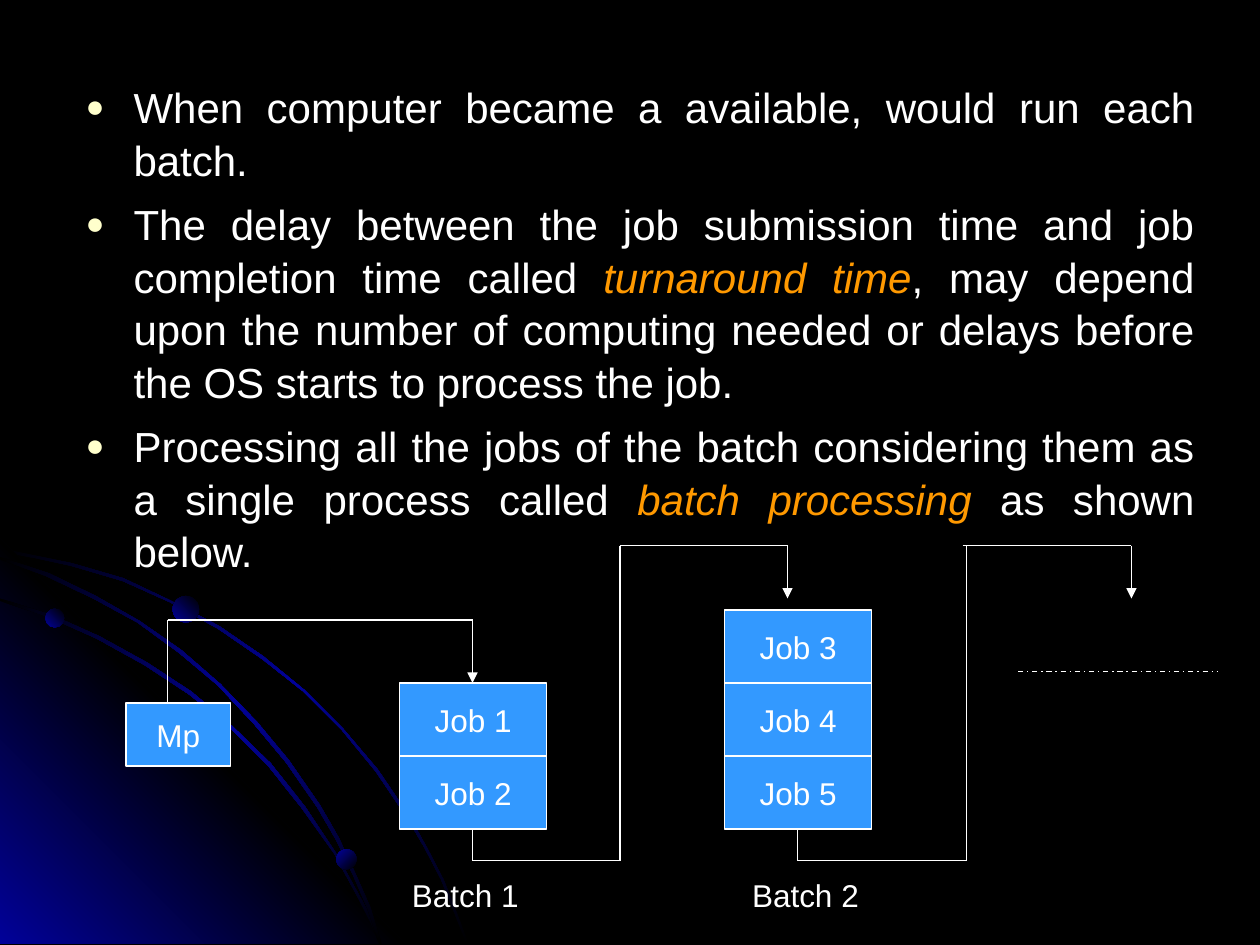
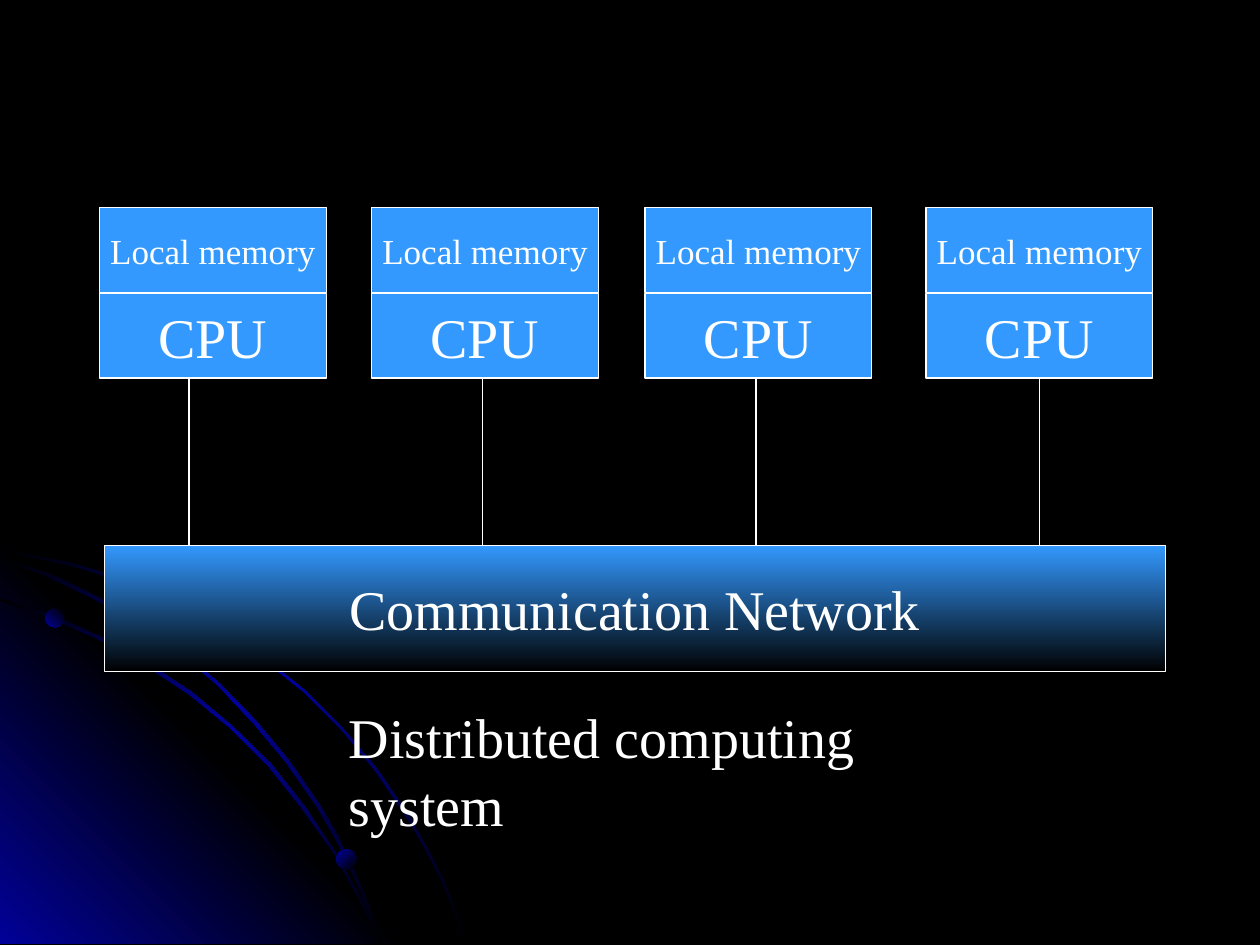
from itertools import pairwise

from lxml import etree
from pptx import Presentation
from pptx.dml.color import RGBColor
from pptx.enum.dml import MSO_LINE
from pptx.enum.shapes import MSO_CONNECTOR, MSO_SHAPE
from pptx.enum.text import MSO_ANCHOR, MSO_AUTO_SIZE, PP_ALIGN
from pptx.oxml.ns import qn
from pptx.util import Pt

PX = 9144  # EMU in one px, 100 px to the inch
WIDTH, HEIGHT = 1000, 750
RECT, OVAL = MSO_SHAPE.RECTANGLE, MSO_SHAPE.OVAL
STRAIGHT = MSO_CONNECTOR.STRAIGHT
DASH_DOT = MSO_LINE.DASH_DOT
LEFT, CENTER, JUSTIFY = PP_ALIGN.LEFT, PP_ALIGN.CENTER, PP_ALIGN.JUSTIFY
MIDDLE = MSO_ANCHOR.MIDDLE
NO_FIT, GROW = MSO_AUTO_SIZE.NONE, MSO_AUTO_SIZE.SHAPE_TO_FIT_TEXT
SANS, SERIF = "Arial", "Times New Roman"
COLORS = {
    "background": "000000",
    "glow": "010199",
    "box": "3399FF",
    "text": "FFFFFF",
    "term": "FF9900",
    "bullet": "FFFFCC",
}

# Background curves: closed outlines in px
OUTER_ARC = [
    (57, 447), (28, 441), (0, 435), (0, 438), (28, 443), (56, 449), (97, 461),
    (135, 478), (173, 499), (208, 523), (241, 549), (271, 579), (298, 612),
    (323, 649), (337, 673), (350, 698), (360, 723), (370, 749), (372, 749),
    (362, 723), (352, 698), (339, 673), (325, 648), (300, 611), (272, 578),
    (242, 548), (209, 521), (174, 497), (136, 477), (98, 459),
]
CORNER = [(322, 749), (0, 749), (0, 427)]
INNER_ARC = [
    (285, 714), (294, 732), (301, 749), (303, 749), (296, 730), (286, 712),
    (266, 676), (242, 640), (215, 606), (184, 576), (152, 549), (117, 526),
    (79, 505), (41, 488), (0, 475), (0, 477), (39, 490), (77, 507), (115, 528),
    (150, 551), (183, 578), (213, 608), (240, 642), (265, 677),
]
MIDDLE_ARC = [
    (0, 442), (0, 444), (36, 457), (74, 475), (109, 494), (142, 518), (173, 544),
    (202, 575), (227, 605), (252, 641), (267, 667), (280, 694), (292, 722),
    (301, 749), (303, 749), (294, 720), (282, 693), (269, 665), (254, 639),
    (229, 603), (204, 573), (175, 543), (144, 516), (111, 493), (76, 473),
    (39, 455),
]

BULLETS = [
    [("When computer became a available, would run each batch.", False)],
    [
        ("The delay between the job submission time and job completion time called ", False),
        ("turnaround time", True),
        (", may depend upon the number of computing needed or delays before "
         "the OS starts to process the job.", False),
    ],
    [
        ("Processing all the jobs of the batch considering them as a single "
         "process called ", False),
        ("batch processing", True),
        (" as shown below.", False),
    ],
]


def px(*lengths):
    return [length * PX for length in lengths]


def rgb(name):
    return RGBColor.from_string(COLORS[name])


def add_text(paragraph, text, *, size, font=SANS, color="text", italic=False, align=LEFT):
    paragraph.alignment = align
    run = paragraph.add_run()
    run.text = text
    run.font.size, run.font.name, run.font.italic = Pt(size), font, italic
    run.font.color.rgb = rgb(color)


def fill_gradient(shape, names, angle):
    """Spread the named colours evenly; the angle runs counter-clockwise."""
    shape.fill.gradient()
    shape.fill.gradient_angle = angle
    stops = shape.element.spPr.find(".//" + qn("a:gsLst"))
    del stops[:]
    for i, name in enumerate(names):
        stop = etree.SubElement(stops, qn("a:gs"), pos=str(100000 * i // (len(names) - 1)))
        etree.SubElement(stop, qn("a:srgbClr"), val=COLORS[name])


def style_decoration(shape, names, angle):
    shape.shadow.inherit = False
    shape.line.fill.background()
    fill_gradient(shape, names, angle)


def add_backdrop(slide):
    """Glowing corner, three arcs and their beads."""
    fade = ("background", "glow", "background")
    corner_fade = ("glow", "background", "glow")
    for outline, names, angle in (
        (OUTER_ARC, fade, 135),
        (CORNER, corner_fade, 225),
        (INNER_ARC, fade, 135),
        (MIDDLE_ARC, fade, 135),
    ):
        builder = slide.shapes.build_freeform(*outline[0], scale=PX)
        builder.add_line_segments(outline[1:], close=True)
        style_decoration(builder.convert_to_shape(), names, angle)
    for left, top, size, angle in ((36, 483, 15, 225), (267, 674, 16, 135), (137, 473, 21, 225)):
        bead = slide.shapes.add_shape(OVAL, *px(left, top, size, size))
        style_decoration(bead, ("background", "glow"), angle)


def add_box(slide, text, left, top, width, height, **text_format):
    box = slide.shapes.add_shape(RECT, *px(left, top, width, height))
    box.shadow.inherit = False
    box.fill.solid()
    box.fill.fore_color.rgb = rgb("box")
    box.line.color.rgb = rgb("text")
    box.line.width = Pt(0.75)
    frame = box.text_frame
    frame.word_wrap = False
    frame.vertical_anchor = MIDDLE
    add_text(frame.paragraphs[0], text, align=CENTER, **text_format)
    return box


def add_label(slide, text, left, top, width, height, **text_format):
    frame = slide.shapes.add_textbox(*px(left, top, width, height)).text_frame
    frame.word_wrap = False
    frame.auto_size = GROW
    add_text(frame.paragraphs[0], text, **text_format)


def add_route(slide, *points, arrow=False, dash=None):
    """Join the points by straight lines, with an arrowhead at the last one."""
    for start, end in pairwise(points):
        segment = slide.shapes.add_connector(STRAIGHT, *px(*start, *end))
        segment.line.color.rgb = rgb("text")
        segment.line.width = Pt(0.75)
        if dash:
            segment.line.dash_style = dash
        if arrow and end == points[-1]:
            etree.SubElement(segment.line._get_or_add_ln(), qn("a:tailEnd"), type="triangle")
        etree.SubElement(segment.element.spPr, qn("a:effectLst"))


def set_bullet(paragraph):
    properties = paragraph._p.get_or_add_pPr()
    properties.set("marL", str(38 * PX))
    properties.set("indent", str(-38 * PX))
    color = etree.SubElement(properties, qn("a:buClr"))
    etree.SubElement(color, qn("a:srgbClr"), val=COLORS["bullet"])
    etree.SubElement(properties, qn("a:buSzPct"), val="75000")
    etree.SubElement(properties, qn("a:buChar"), char="●")


def add_bullets(slide, bullets):
    body = slide.placeholders[1]
    body.left, body.top, body.width, body.height = px(58, 58, 900, 625)
    slide.shapes.element.append(body.element)  # in front of the backdrop
    frame = body.text_frame
    frame.word_wrap = True
    frame.auto_size = NO_FIT
    for i, runs in enumerate(bullets):
        paragraph = frame.add_paragraph() if i else frame.paragraphs[0]
        set_bullet(paragraph)
        paragraph.space_before = Pt(6 if i else 0)
        paragraph.line_spacing = 1.05
        for text, is_term in runs:
            add_text(paragraph, text, size=24, color="term" if is_term else "text",
                     italic=is_term, align=JUSTIFY)


def build_batch_slide(prs):
    slide = prs.slides.add_slide(prs.slide_layouts[1])
    title = slide.shapes.title.element
    title.getparent().remove(title)
    add_backdrop(slide)
    add_bullets(slide, BULLETS)

    # Monitor program and the two stacks of jobs
    add_box(slide, "Mp", 100, 558, 83, 50, size=18)
    job_height = 58
    for left, first_top, numbers in ((317, 542, (1, 2)), (575, 484, (3, 4, 5))):
        for row, number in enumerate(numbers):
            add_box(slide, f"Job {number}", left, first_top + row * job_height,
                    117, job_height, size=18)

    # Flow from batch to batch
    add_route(slide, (133, 558), (133, 492), (375, 492), (375, 542), arrow=True)
    add_route(slide, (375, 658), (375, 683), (492, 683), (492, 433), (625, 433),
              (625, 475), arrow=True)
    add_route(slide, (633, 658), (633, 683), (767, 683), (767, 433))
    add_route(slide, (764, 433), (898, 433), (898, 475), arrow=True)
    add_route(slide, (808, 533), (967, 533), dash=DASH_DOT)

    add_label(slide, "Batch 1", 317, 690, 105, 40, size=18)
    add_label(slide, "Batch 2", 587, 690, 105, 40, size=18)


def build_distributed_slide(prs):
    slide = prs.slides.add_slide(prs.slide_layouts[6])
    add_backdrop(slide)

    # Computers, each linked to the network
    for left, link in ((79, 150), (295, 383), (512, 600), (735, 825)):
        add_box(slide, "CPU", left, 233, 180, 67, size=32, font=SERIF)
        add_box(slide, "Local memory", left, 165, 180, 67, size=20, font=SERIF)
        add_route(slide, (link, 300), (link, 433))

    network = add_box(slide, "Communication Network", 83, 433, 842, 100, size=32, font=SERIF)
    fill_gradient(network, ("box", "background"), 270)
    add_label(slide, "Distributed computing system", 267, 553, 556, 64, size=32, font=SERIF)


def main():
    prs = Presentation()
    prs.slide_width, prs.slide_height = px(WIDTH, HEIGHT)
    background = prs.slide_master.background.fill
    background.solid()
    background.fore_color.rgb = rgb("background")
    build_batch_slide(prs)
    build_distributed_slide(prs)
    prs.save("out.pptx")


if __name__ == "__main__":
    main()
